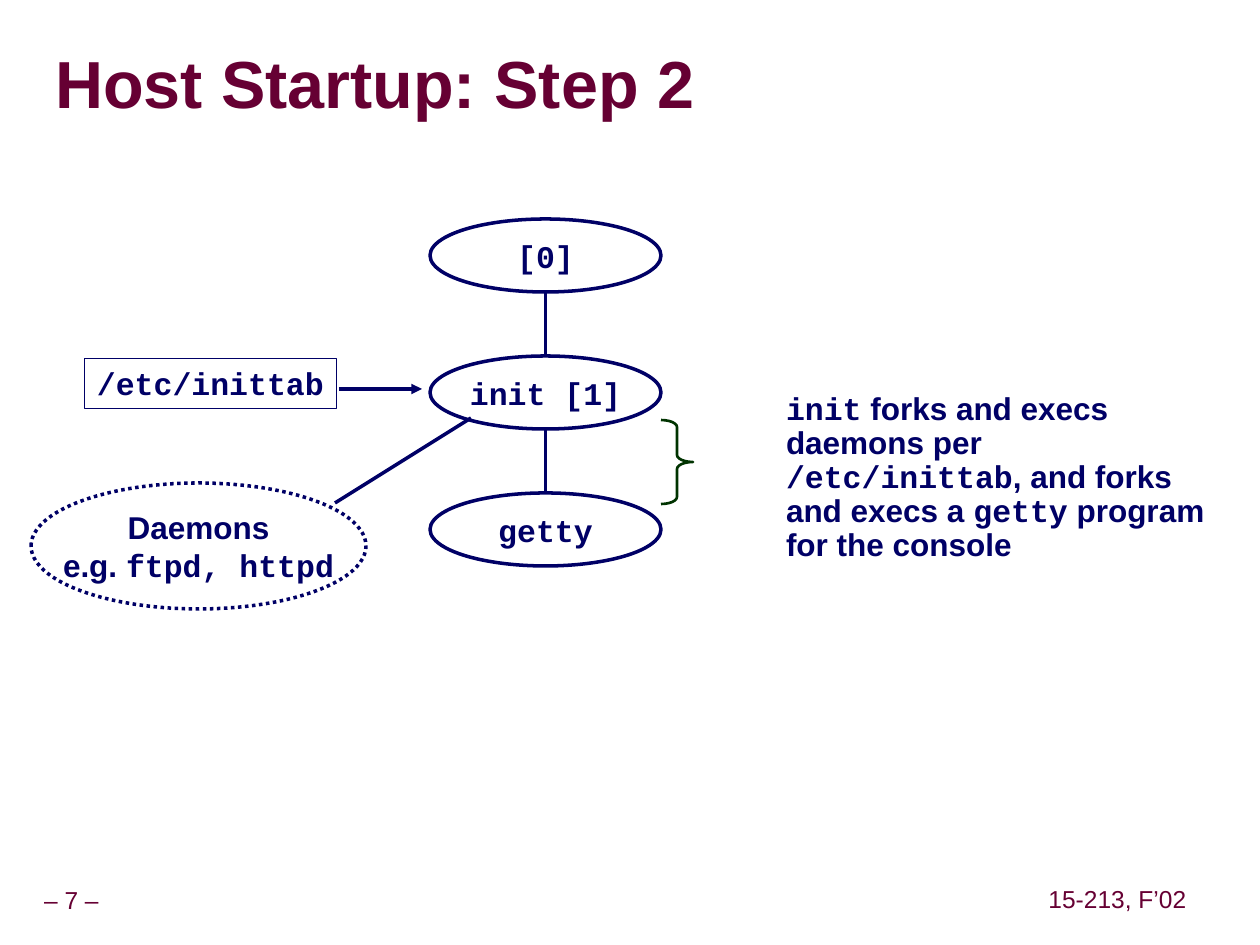
from dataclasses import dataclass

from lxml import etree
from pptx import Presentation
from pptx import util as u
from pptx.dml.color import RGBColor
from pptx.enum import dml, shapes, text
from pptx.oxml.ns import qn


@dataclass(frozen=True)
class Theme:
    navy: str = "000066"
    wine: str = "660033"
    green: str = "003300"
    white: str = "FFFFFF"
    shade: str = "969696"
    sans: str = "Arial"
    mono: str = "Courier New"
    title: int = 38
    body: int = 18
    foot: int = 14


T = Theme()
LEFT, CENTER = text.PP_ALIGN.LEFT, text.PP_ALIGN.CENTER
TOP, MIDDLE = text.MSO_ANCHOR.TOP, text.MSO_ANCHOR.MIDDLE
SHAPE = shapes.MSO_SHAPE


def px(n):
    return u.Emu(round(n * 914400 / 126))


def write(sp, paras, size=T.body, color=T.navy, bold=True, align=CENTER,
          anchor=MIDDLE, wrap=False, spacing=None, inset=(6, 6)):
    tf = sp.text_frame
    tf.word_wrap = wrap
    tf.vertical_anchor = anchor
    tf.margin_left = tf.margin_right = px(inset[0])
    tf.margin_top = tf.margin_bottom = px(inset[1])
    for i, runs in enumerate(paras):
        p = tf.add_paragraph() if i else tf.paragraphs[0]
        p.alignment = align
        if spacing:
            p.line_spacing = spacing
        for words, face in runs:
            r = p.add_run()
            r.text = words
            r.font.name, r.font.size, r.font.bold = face, u.Pt(size), bold
            r.font.color.rgb = RGBColor.from_string(color)
    return tf


def add_shape(s, kind, x, y, w, h, fill=None, line=T.navy, width=2):
    sp = s.shapes.add_shape(kind, px(x), px(y), px(w), px(h))
    sp.shadow.inherit = False
    if fill:
        sp.fill.solid()
        sp.fill.fore_color.rgb = RGBColor.from_string(fill)
    else:
        sp.fill.background()
    sp.line.color.rgb = RGBColor.from_string(line)
    sp.line.width = u.Pt(width)
    return sp


def add_line(s, x1, y1, x2, y2, arrow=False):
    c = s.shapes.add_connector(shapes.MSO_CONNECTOR.STRAIGHT,
                               px(x1), px(y1), px(x2), px(y2))
    c.line.color.rgb = RGBColor.from_string(T.navy)
    c.line.width = u.Pt(2)
    if arrow:
        etree.SubElement(c.line._get_or_add_ln(), qn("a:tailEnd"), type="triangle")
    etree.SubElement(c._element.spPr, qn("a:effectLst"))


def add_text(s, x, y, w, h, paras, **style):
    sp = s.shapes.add_textbox(px(x), px(y), px(w), px(h))
    return write(sp, paras, **style)


def title(s, x, y, w, h):
    tf = add_text(s, x, y, w, h, [[("Host Startup: Step 2", T.sans)]],
                  size=T.title, color=T.wine, align=LEFT, wrap=True,
                  spacing=0.87, inset=(0, 0))
    rPr = tf.paragraphs[0].runs[0].font._element
    effects = etree.Element(qn("a:effectLst"))
    shadow = etree.SubElement(effects, qn("a:outerShdw"), dist="38100", dir="2700000")
    etree.SubElement(shadow, qn("a:srgbClr"), val=T.shade)
    rPr.find(qn("a:solidFill")).addnext(effects)


def process_tree(s, x, y):
    node_x, node_w, node_h, pitch = x + 399, 231, 73, 137
    mid = node_x + node_w / 2
    for i, name in enumerate(("[0]", "init [1]", "getty")):
        top = y + i * pitch
        sp = add_shape(s, SHAPE.OVAL, node_x, top, node_w, node_h, T.white)
        write(sp, [[(name, T.mono)]], inset=(13, 6))
        if i:
            add_line(s, mid, top - pitch + node_h, mid, top)

    add_line(s, x + 440, y + 199, x + 304, y + 284)
    sp = add_shape(s, SHAPE.OVAL, x, y + 264, 335, 126, T.white)
    sp.line.dash_style = dml.MSO_LINE.ROUND_DOT
    write(sp, [[("Daemons", T.sans)],
               [("e.g. ", T.sans), ("ftpd, httpd", T.mono)]], inset=(13, 6))

    sp = add_shape(s, SHAPE.RECTANGLE, x + 53, y + 139, 252, 50, width=0.25)
    write(sp, [[("/etc/inittab", T.mono)]], align=LEFT, anchor=TOP, inset=(13, 6))
    add_line(s, x + 308, y + 170, x + 391, y + 170, arrow=True)

    brace = add_shape(s, SHAPE.RIGHT_BRACE, x + 630, y + 201, 32, 84,
                      line=T.green, width=1.5)
    brace.adjustments[0] = 0.22


def note(s, x, y, w, h):
    add_text(s, x, y, w, h, [[
        ("init", T.mono), (" forks and execs daemons per ", T.sans),
        ("/etc/inittab", T.mono), (", and forks and execs a ", T.sans),
        ("getty", T.mono), (" program for the console", T.sans),
    ]], align=LEFT, anchor=TOP, wrap=True, spacing=0.9)


def footer(s, x, y, w, h, words):
    add_text(s, x, y, w, h, [[(words, T.sans)]], size=T.foot, color=T.wine,
             bold=False, spacing=0.9)


def main():
    prs = Presentation()
    prs.slide_width, prs.slide_height = px(1260), px(945)
    s = prs.slides.add_slide(prs.slide_layouts[6])
    footer(s, -11, 882, 165, 39, "– 7 –")
    footer(s, 1042, 881, 151, 39, "15-213, F’02")
    title(s, 55, 34, 1201, 107)
    process_tree(s, 31, 219)
    note(s, 780, 387, 437, 149)
    prs.save("out.pptx")


if __name__ == "__main__":
    main()
